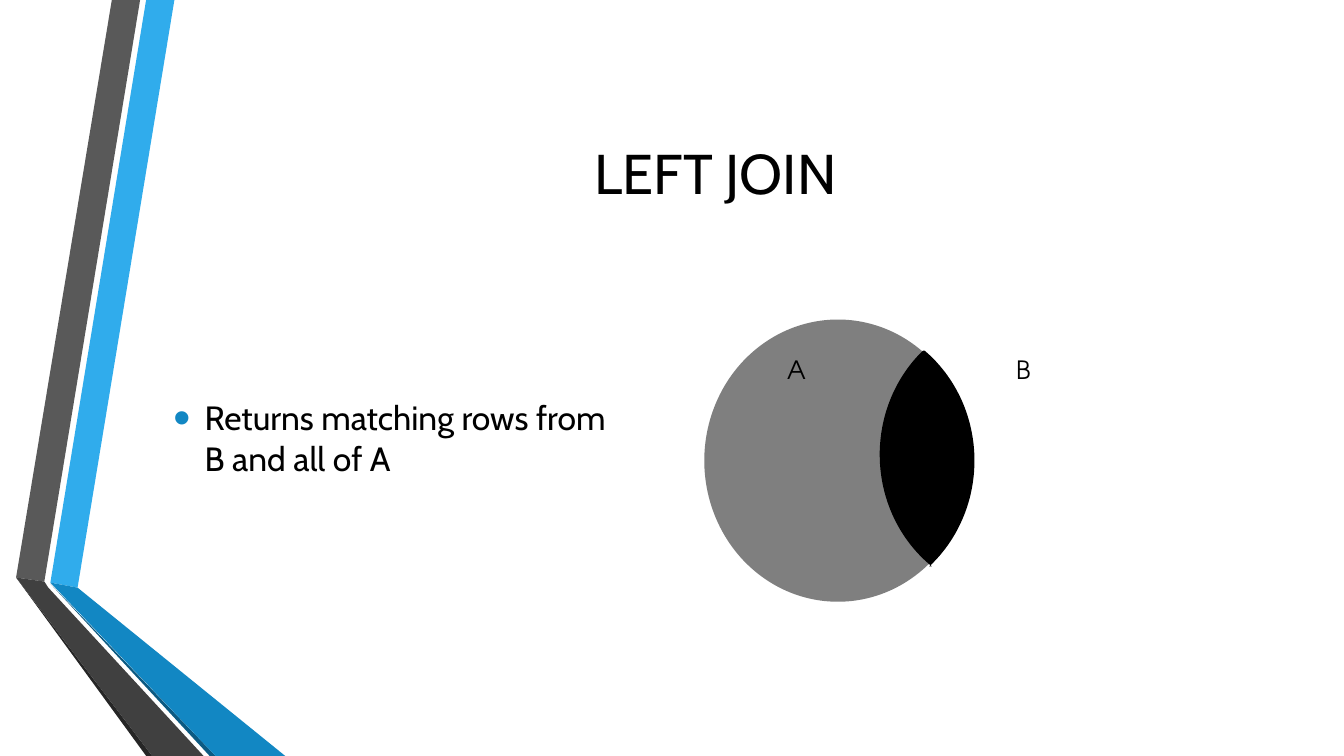
import math

import pptx
import pptx.dml.color
import pptx.enum.shapes
import pptx.enum.text
import pptx.oxml
import pptx.oxml.ns
import pptx.util

Inches = pptx.util.Inches
Pt = pptx.util.Pt
RGBColor = pptx.dml.color.RGBColor

BLACK = RGBColor(0x00, 0x00, 0x00)
WHITE = RGBColor(0xFF, 0xFF, 0xFF)
GRAY = RGBColor(0x7F, 0x7F, 0x7F)
LIGHT_BLUE = RGBColor(0x30, 0xAC, 0xEC)
BLUE = RGBColor(0x12, 0x87, 0xC3)
DARK_BLUE = RGBColor(0x0C, 0x5A, 0x82)
BAND_GRAY = RGBColor(0x59, 0x59, 0x59)
FOLD_GRAY = RGBColor(0x40, 0x40, 0x40)
EDGE_GRAY = RGBColor(0x26, 0x26, 0x26)


def paint(shape, color):
    shape.shadow.inherit = False
    shape.fill.solid()
    shape.fill.fore_color.rgb = color
    shape.line.fill.background()


def add_run(paragraph, text, font_name, size):
    run = paragraph.add_run()
    run.text = text
    run.font.name = font_name
    run.font.size = Pt(size)
    run.font.color.rgb = BLACK


presentation = pptx.Presentation()
presentation.slide_width = Inches(13.33)
presentation.slide_height = Inches(7.5)
slide = presentation.slides.add_slide(presentation.slide_layouts[1])
shapes = slide.shapes

# Title
title = shapes.title
title.left, title.top = Inches(1.62), Inches(0.75)
title.width, title.height = Inches(10.96), Inches(1.92)
title.text_frame.vertical_anchor = pptx.enum.text.MSO_ANCHOR.MIDDLE
heading = title.text_frame.paragraphs[0]
heading.alignment = pptx.enum.text.PP_ALIGN.CENTER
add_run(heading, "LEFT JOIN", "Cabin", 40)

# Explanation, raised a little above the middle of its box
explanation = slide.placeholders[1]
explanation.left, explanation.top = Inches(1.62), Inches(2.92)
explanation.width, explanation.height = Inches(4.64), Inches(3.42)
explanation.text_frame.auto_size = pptx.enum.text.MSO_AUTO_SIZE.NONE
explanation.text_frame.vertical_anchor = pptx.enum.text.MSO_ANCHOR.MIDDLE
explanation.text_frame.margin_bottom = Inches(0.63)
point = explanation.text_frame.paragraphs[0]
point_format = point._p.get_or_add_pPr()
point_format.set("marL", str(Inches(0.31)))
point_format.set("indent", str(Inches(-0.31)))
namespace = pptx.oxml.ns.nsdecls("a")
for bullet_part in (
    f'<a:buClr {namespace}><a:srgbClr val="{BLUE}"/></a:buClr>',
    f'<a:buSzPct {namespace} val="145000"/>',
    f'<a:buFont {namespace} typeface="Arial"/>',
    f'<a:buChar {namespace} char="•"/>',
):
    point_format.append(pptx.oxml.parse_xml(bullet_part))
point.space_before = Pt(0)
add_run(point, "Returns matching rows from B and all of A", "Cabin", 24)

# Venn diagram: set B behind set A
set_width, set_height = 2.65, 2.8
a_x, a_y = 8.31, 4.57
b_x, b_y = 10.05, 4.51
for center_x, center_y, color in ((b_x, b_y, WHITE), (a_x, a_y, GRAY)):
    circle = shapes.add_shape(
        pptx.enum.shapes.MSO_SHAPE.OVAL,
        Inches(center_x - set_width / 2), Inches(center_y - set_height / 2),
        Inches(set_width), Inches(set_height))
    paint(circle, color)

# Overlap: right arc of A downwards, then left arc of B upwards
overlap_top, overlap_bottom, steps = 3.48, 5.62, 60
a_arc, b_arc = [], []
for step in range(steps + 1):
    y = overlap_top + (overlap_bottom - overlap_top) * step / steps
    a_reach = set_width / 2 * math.sqrt(1 - ((y - a_y) / (set_height / 2)) ** 2)
    b_reach = set_width / 2 * math.sqrt(1 - ((y - b_y) / (set_height / 2)) ** 2)
    a_arc.append((a_x + 0.03 + a_reach, y))
    b_arc.append((b_x - b_reach, y))

# Overlap and the folded ribbons on the left edge
outlines = [
    (BLACK, a_arc + b_arc[::-1]),
    (LIGHT_BLUE, [(0.5, 5.78), (0.77, 5.83), (1.73, 0), (1.45, 0)]),
    (BAND_GRAY, [(1.39, 0), (1.11, 0), (0.16, 5.73), (0.44, 5.77)]),
    (EDGE_GRAY, [(0.16, 5.73), (1.45, 7.5), (1.51, 7.5)]),
    (DARK_BLUE, [(0.5, 5.79), (2.08, 7.5), (2.14, 7.5)]),
    (BLUE, [(0.5, 5.78), (2.14, 7.5), (2.83, 7.5), (0.77, 5.83)]),
    (FOLD_GRAY, [(2.02, 7.5), (0.48, 5.83), (0.44, 5.77), (0.16, 5.73), (1.51, 7.5)]),
]
for color, corners in outlines:
    corners = [(Inches(x), Inches(y)) for x, y in corners]
    outline = shapes.build_freeform(*corners[0])
    outline.add_line_segments(corners[1:], close=True)
    paint(outline.convert_to_shape(), color)

# Set labels
for letter, left, width in (("A", 7.71, 0.53), ("B", 9.98, 0.57)):
    label = shapes.add_textbox(Inches(left), Inches(3.47), Inches(width), Inches(0.4))
    label.text_frame.word_wrap = True
    add_run(label.text_frame.paragraphs[0], letter, "TeX Gyre Adventor", 18)

presentation.save("out.pptx")
